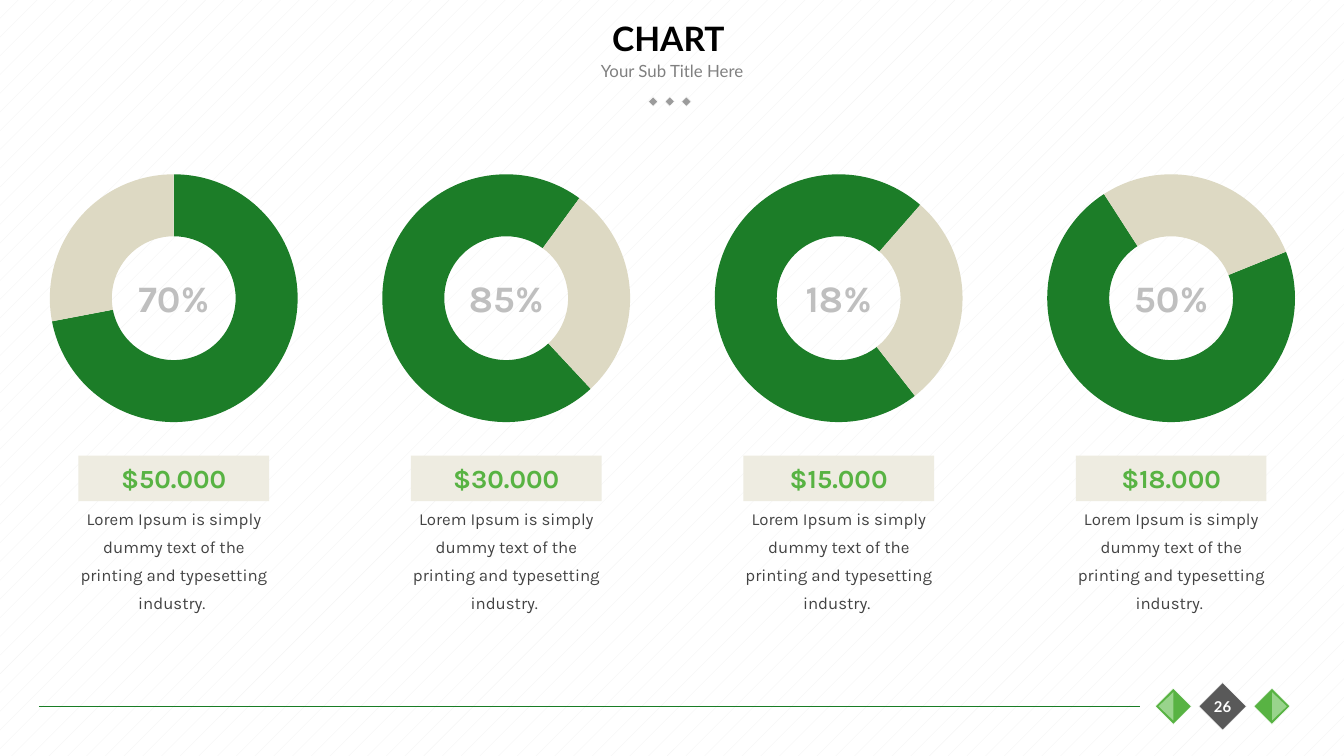
from lxml.etree import SubElement
from pptx import Presentation
from pptx.chart.data import CategoryChartData
from pptx.dml.color import RGBColor
from pptx.enum.chart import XL_CHART_TYPE
from pptx.enum.dml import MSO_PATTERN
from pptx.enum.shapes import MSO_CONNECTOR, MSO_SHAPE
from pptx.enum.text import MSO_ANCHOR, PP_ALIGN
from pptx.oxml.ns import qn
from pptx.util import Pt

BLACK = RGBColor(0x00, 0x00, 0x00)
WHITE = RGBColor(0xFF, 0xFF, 0xFF)
PALE = RGBColor(0xF2, 0xF2, 0xF2)
DOT = RGBColor(0x9B, 0x9B, 0x9B)
GRAY = RGBColor(0x80, 0x80, 0x80)
SILVER = RGBColor(0xBF, 0xBF, 0xBF)
DARK = RGBColor(0x59, 0x59, 0x59)
INK = RGBColor(0x43, 0x43, 0x43)
RULE = RGBColor(0x19, 0x7D, 0x25)
GREEN = RGBColor(0x1C, 0x7D, 0x28)
LEAF = RGBColor(0x58, 0xB3, 0x43)
MINT = RGBColor(0x99, 0xD4, 0x8C)
SAND = RGBColor(0xDD, 0xD9, 0xC3)
CREAM = RGBColor(0xEE, 0xEC, 0xE1)

TITLE = "CHART "
SUBTITLE = "Your Sub Title Here"
PAGE = "26"
BODY = "Lorem Ipsum is simply dummy text of the printing and typesetting industry. "
SHARES = [72, 28]
# share label, price, angle of the first slice
COLUMNS = [
    ("70%", "$50.000", 0),
    ("85%", "$30.000", 137),
    ("18%", "$15.000", 142),
    ("50%", "$18.000", 68),
]

FIRST, PITCH = 93.1, 178.1  # centre of the first column, step to the next
CHART_W, CHART_H, RING = 170.6, 152.6, 132.8
FOOT = 378.4  # middle of the footer

deck = Presentation()
deck.slide_width, deck.slide_height = Pt(720), Pt(405)
slide = deck.slides.add_slide(deck.slide_layouts[6])
shapes = slide.shapes

back = slide.background.fill
back.patterned()
back.pattern = MSO_PATTERN.PERCENT_5
back.fore_color.rgb = PALE
back.back_color.rgb = WHITE


def write(shape, text, font, size, color, bold=False, anchor=MSO_ANCHOR.MIDDLE):
    frame = shape.text_frame
    frame.word_wrap = True
    frame.vertical_anchor = anchor
    frame.text = text
    para = frame.paragraphs[0]
    para.alignment = PP_ALIGN.CENTER
    style = para.runs[0].font
    style.name, style.size, style.bold = font, Pt(size), bold
    style.color.rgb = color
    return para


def label(mid, top, width, height, *args, **kwargs):
    """Add a text box centred on mid."""
    box = shapes.add_textbox(Pt(mid - width / 2), Pt(top), Pt(width), Pt(height))
    return write(box, *args, **kwargs)


def block(kind, mid, level, width, height, color, turn=0, edge=False):
    """Add a filled shape centred on (mid, level)."""
    shape = shapes.add_shape(kind, Pt(mid - width / 2), Pt(level - height / 2),
                             Pt(width), Pt(height))
    shape.shadow.inherit = False
    shape.rotation = turn
    shape.fill.solid()
    shape.fill.fore_color.rgb = color
    if edge:
        shape.line.color.rgb = WHITE
        shape.line.width = Pt(0.25)
    else:
        shape.line.fill.background()
    return shape


def diamond(mid, level, side, color):
    block(MSO_SHAPE.RECTANGLE, mid, level, side, side, color, 315, True)


def ring(mid, top, angle):
    data = CategoryChartData()
    data.categories = ["1", "2"]
    data.add_series("Series 1", SHARES)
    chart = shapes.add_chart(XL_CHART_TYPE.DOUGHNUT, Pt(mid - CHART_W / 2), Pt(top),
                             Pt(CHART_W), Pt(CHART_H), data).chart
    chart.has_title = chart.has_legend = False
    chart.font.name, chart.font.size = "Karla", Pt(18)
    chart.font.color.rgb = BLACK
    plot = chart.plots[0]
    plot.vary_by_categories = True
    for index, color in enumerate((GREEN, SAND)):
        part = plot.series[0].points[index].format
        part.fill.solid()
        part.fill.fore_color.rgb = color
        part.line.fill.background()

    root = plot._element
    for tag, value in (("c:firstSliceAng", angle), ("c:holeSize", 80)):
        node = root.find(qn(tag))
        if node is None:
            node = SubElement(root, qn(tag))
        node.set("val", str(value))

    area = root.getparent()
    layout = area.find(qn("c:layout"))
    if layout is None:
        layout = SubElement(area, qn("c:layout"))
        area.insert(0, layout)
    manual = SubElement(layout, qn("c:manualLayout"))
    wide, high = RING / CHART_W, RING / CHART_H
    for tag, value in (("layoutTarget", "inner"), ("xMode", "edge"), ("yMode", "edge"),
                       ("x", (1 - wide) / 2), ("y", (1 - high) / 2),
                       ("w", wide), ("h", high)):
        SubElement(manual, qn("c:" + tag)).set("val", str(value))


# Heading
for step in (-1, 0, 1):
    diamond(358.8 + 8.9 * step, 54.4, 3.6, DOT)
label(360, 28.8, 180, 18, SUBTITLE, "Lato", 9, GRAY)
label(360, 0, 612, 40.3, TITLE, "Lato", 18, BLACK, True)

# Footer
line = shapes.add_connector(MSO_CONNECTOR.STRAIGHT, Pt(20.9), Pt(FOOT), Pt(610.5), Pt(FOOT))
line.line.color.rgb = RULE
line.line.width = Pt(0.75)
SubElement(line._element.spPr, qn("a:effectLst"))
hub = 655
diamond(hub, FOOT, 18, DARK)
for side, turn in ((1, 90), (-1, 270)):
    mid = hub + 26.4 * side
    diamond(mid, FOOT, 13.7, LEAF)
    block(MSO_SHAPE.FLOWCHART_EXTRACT, mid + 4 * side, FOOT, 15.1, 7.9, MINT, turn)
label(hub, FOOT - 9, 30.2, 18, PAGE, "Lato", 8, WHITE, True)

# Columns
for index, (share, price, angle) in enumerate(COLUMNS):
    mid = FIRST + PITCH * index
    ring(mid, 83.5, angle)
    label(mid, 144, 79.9, 31.7, share, "Karla", 20, SILVER, True, MSO_ANCHOR.TOP)
    tag = block(MSO_SHAPE.RECTANGLE, mid, 256.3, 102.2, 24.5, CREAM)
    write(tag, price, "Karla", 14, LEAF, True)
    para = label(mid, 265, 118.8, 52.6, BODY, "Karla", 9, INK, anchor=MSO_ANCHOR.TOP)
    para.line_spacing = Pt(15)

deck.save("out.pptx")
